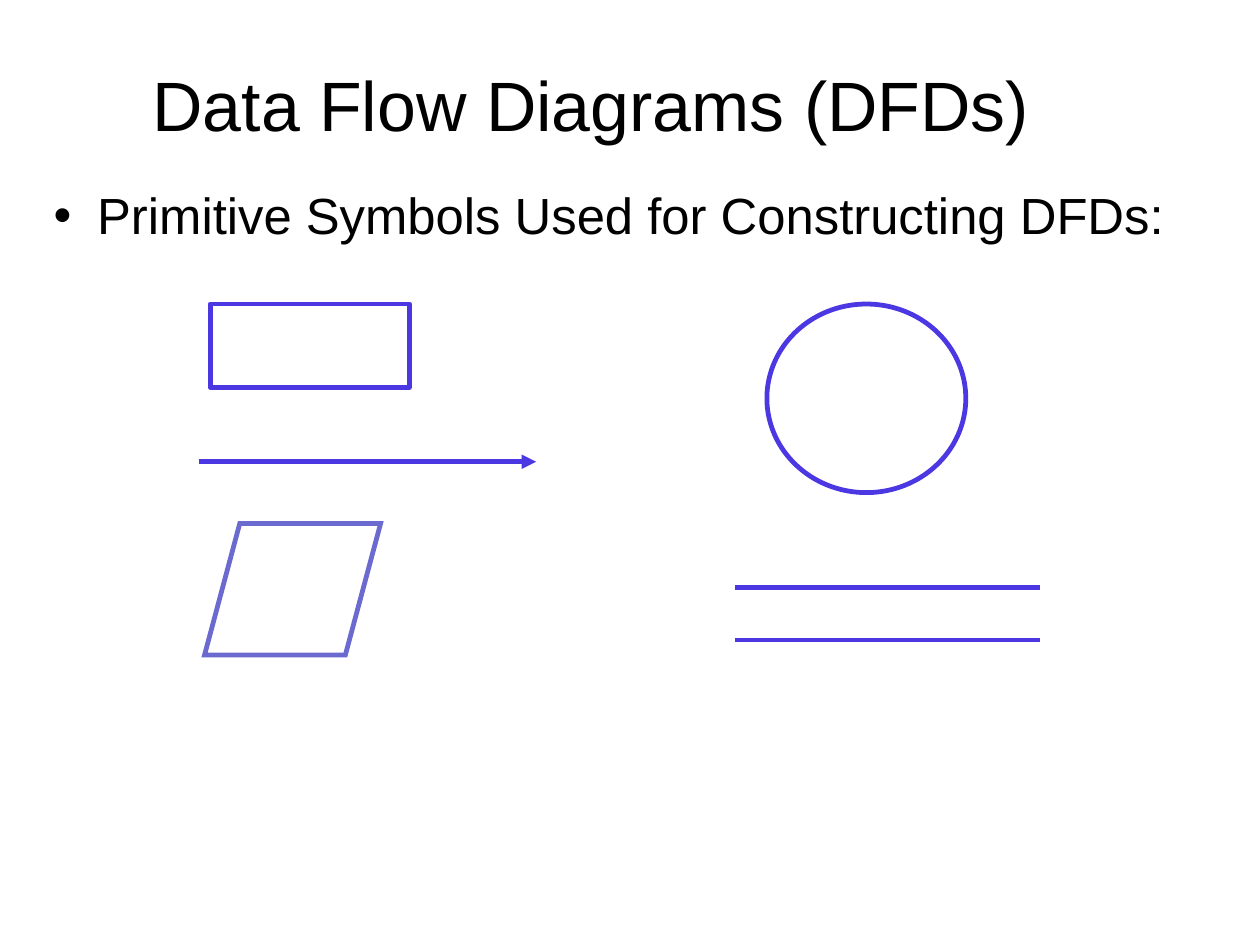
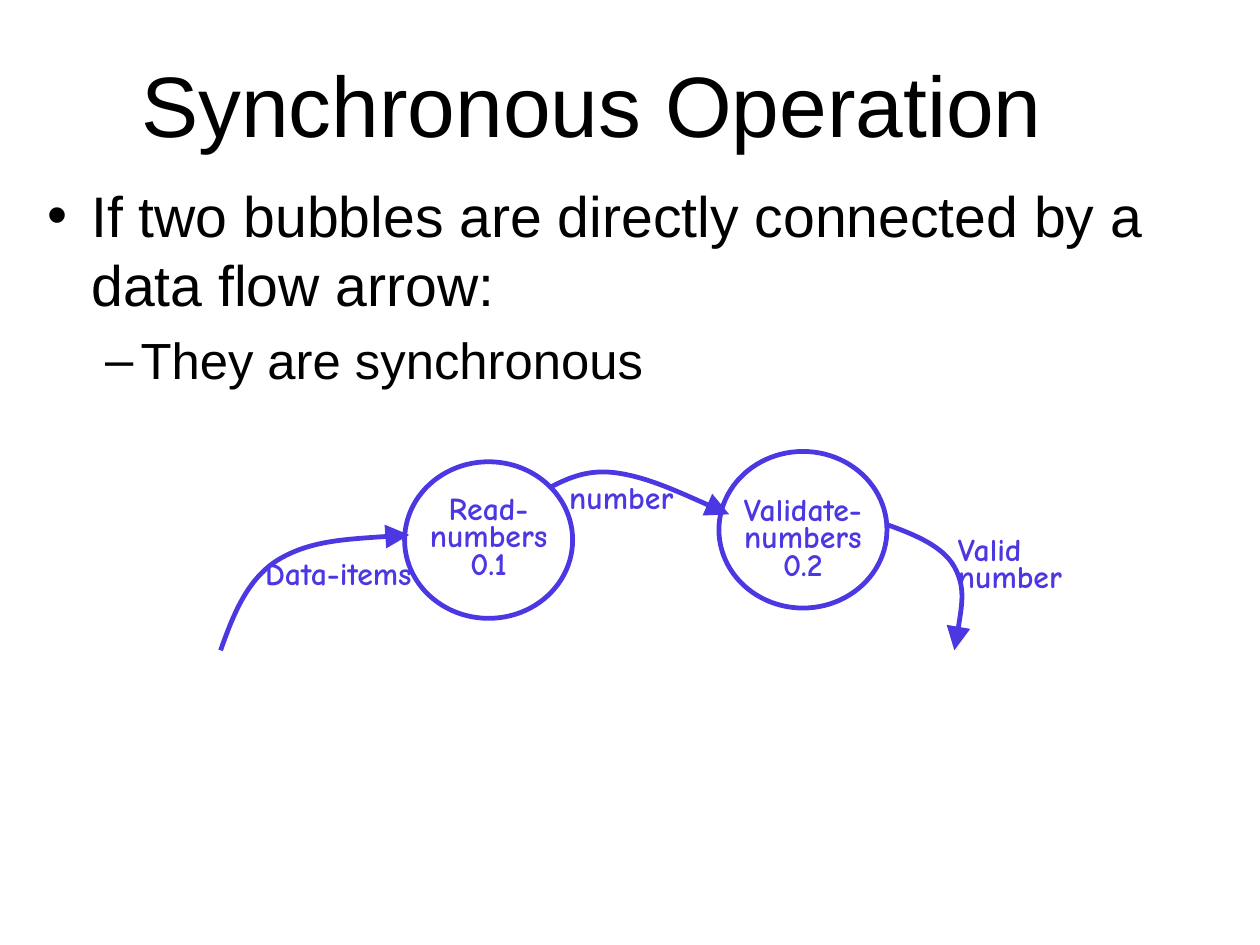
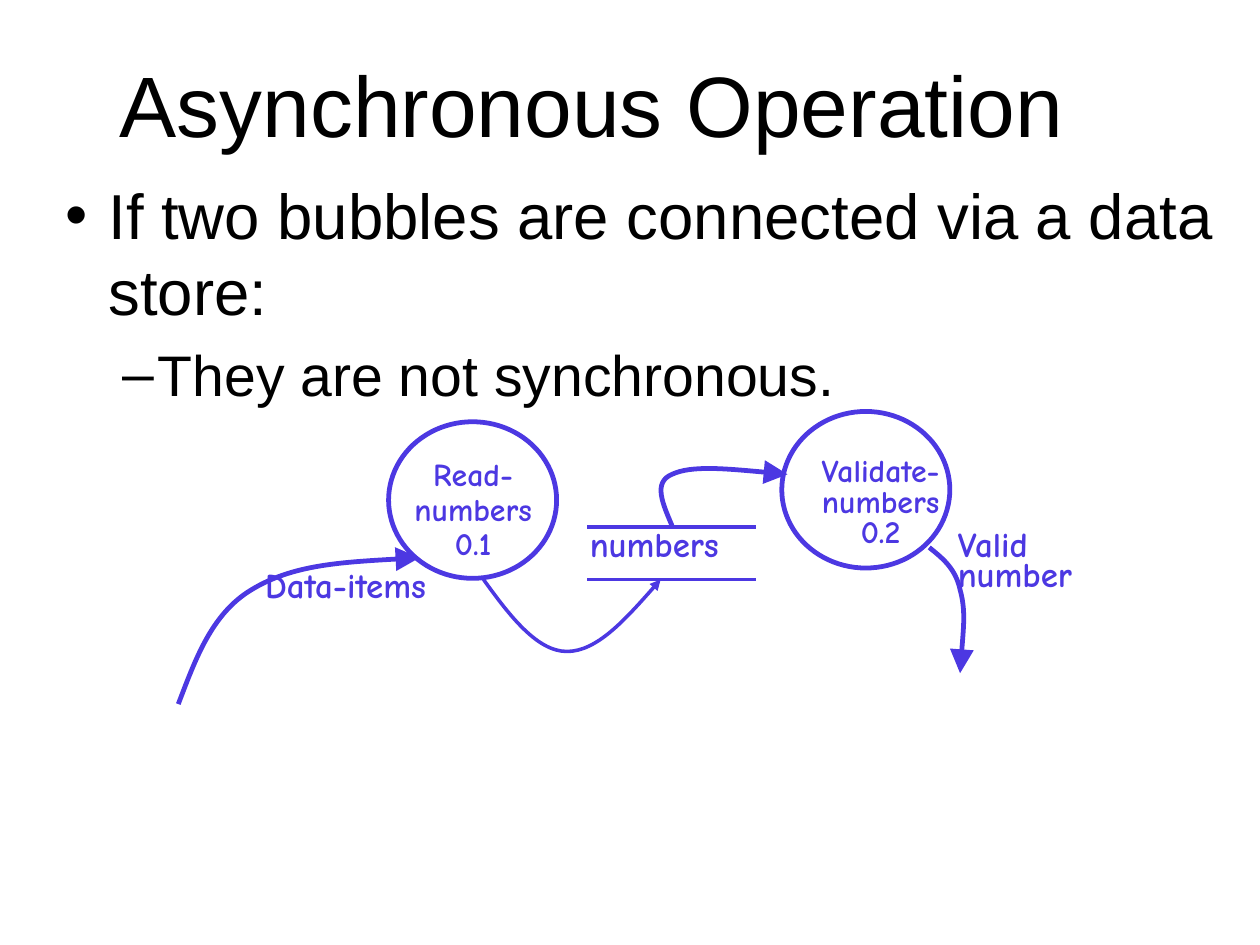
from pptx import Presentation
from pptx import util as u
from pptx.dml.color import RGBColor
from pptx.enum import shapes, text
from pptx.oxml import ns, xmlchemy

BLACK = RGBColor(0x00, 0x00, 0x00)
BLUE = RGBColor(0x4C, 0x38, 0xE2)
SLATE = RGBColor(0x6B, 0x6B, 0xCF)
SANS, HAND = "Arial", "Comic Neue"
THICK, THIN = 3, 2.24
CENTER = text.PP_ALIGN.CENTER
SHAPE = shapes.MSO_SHAPE


def add(parent, tag, **attrs):
    """Append an XML child with the given attributes."""
    child = xmlchemy.OxmlElement(tag)
    for key, value in attrs.items():
        child.set(key, str(value))
    parent.append(child)
    return child


class Deck:
    """Holds the shared style and the current slide."""

    # marker, left margin, hanging indent, space before
    LEVELS = (("•", 0.38, -0.38, 9.9), ("–", 0.81, -0.31, 7.1))

    def __init__(self):
        """Start an empty deck of 28 by 21 cm slides."""
        self.deck = Presentation()
        self.deck.slide_width = u.Cm(28)
        self.deck.slide_height = u.Cm(21)
        self.slide = None

    def frame(self, shape, box):
        """Place a text shape and set its insets."""
        shape.left, shape.top, shape.width, shape.height = map(u.Inches, box)
        body = shape.text_frame
        body.word_wrap = True
        body.auto_size = text.MSO_AUTO_SIZE.NONE
        body.margin_left = body.margin_right = u.Inches(0.02)
        body.margin_top = body.margin_bottom = u.Inches(0.06)
        return body

    def box(self, area):
        """Add an empty text box."""
        shape = self.slide.shapes.add_textbox(*map(u.Inches, area))
        return self.frame(shape, area)

    def run(self, para, words, size, font=SANS, color=BLACK, bold=False):
        """Add one run of text."""
        run = para.add_run()
        run.text = words
        run.font.size = u.Pt(size)
        run.font.name = font
        run.font.bold = bold
        run.font.color.rgb = color

    def page(self, title, size, before):
        """Add a slide with its title."""
        layout = self.deck.slide_layouts[5]
        self.slide = self.deck.slides.add_slide(layout)
        body = self.frame(self.slide.shapes.title, (0.49, 0.22, 9.37, 1.37))
        body.vertical_anchor = text.MSO_ANCHOR.MIDDLE
        para = body.paragraphs[0]
        para.alignment = CENTER
        para.space_before = u.Pt(before)
        self.run(para, title, size)

    def points(self, area, items):
        """Add bullets, one level deeper for each (words, size) item."""
        body = self.box(area)
        for level, (words, size) in enumerate(items):
            para = body.add_paragraph() if level else body.paragraphs[0]
            mark, left, hang, before = self.LEVELS[level]
            para.level = level
            para.space_before = u.Pt(before)
            props = para._p.get_or_add_pPr()
            props.set("marL", str(u.Inches(left)))
            props.set("indent", str(u.Inches(hang)))
            add(add(props, "a:buClr"), "a:srgbClr", val=BLACK)
            add(props, "a:buFont", typeface=SANS)
            add(props, "a:buChar", char=mark)
            self.run(para, words, size)

    def label(self, area, lines, size=20, align=None, space=0.72, before=12.5):
        """Add a handwritten label, with a break between lines."""
        para = self.box(area).paragraphs[0]
        para.alignment = align
        para.line_spacing = space
        para.space_before = u.Pt(before)
        for i, words in enumerate(lines):
            if i:
                para.add_line_break()
            self.run(para, words, size, HAND, BLUE, True)

    def stroke(self, shape, color, width, head=None, join="a:round"):
        """Format an outline, with an arrowhead of the given size."""
        shape.line.color.rgb = color
        shape.line.width = u.Pt(width)
        ln = shape.element.spPr.find(ns.qn("a:ln"))
        add(ln, join)
        if head:
            add(ln, "a:tailEnd", type="triangle", w=head, len=head)

    def shape(self, kind, area, color=BLUE, join="a:round"):
        """Add an unfilled preset shape."""
        shape = self.slide.shapes.add_shape(kind, *map(u.Inches, area))
        shape.shadow.inherit = False
        shape.fill.background()
        self.stroke(shape, color, THICK, join=join)
        return shape

    def bubble(self, left, top):
        """Add a process bubble."""
        self.shape(SHAPE.OVAL, (left, top, 1.47, 1.37))

    def line(self, left, right, y, width=THICK, head=None):
        """Add a level line."""
        ends = map(u.Inches, (left, y, right, y))
        line = self.slide.shapes.add_connector(
            shapes.MSO_CONNECTOR.STRAIGHT, *ends)
        self.stroke(line, BLUE, width, head)
        add(line.element.spPr, "a:effectLst")

    def store(self, left, right, top, gap, width=THICK):
        """Add a data store: two parallel lines."""
        for y in (top, top + gap):
            self.line(left, right, y, width)

    def flow(self, *spots, width=THICK, head="lg"):
        """Add a curved arrow: a start, then Bezier points in threes."""
        spots = [(u.Inches(x), u.Inches(y)) for x, y in spots]
        build = self.slide.shapes.build_freeform(*spots[0])
        build.add_line_segments(spots[1:], close=False)
        curve = build.convert_to_shape()
        steps = list(curve.element.iter(ns.qn("a:lnTo")))
        for i in range(0, len(steps), 3):
            bend = xmlchemy.OxmlElement("a:cubicBezTo")
            steps[i].addprevious(bend)
            for step in steps[i:i + 3]:
                bend.append(step[0])
                step.getparent().remove(step)
        curve.shadow.inherit = False
        curve.fill.background()
        self.stroke(curve, BLUE, width, head)


def symbols(d):
    """Build the slide of DFD symbols."""
    d.page("Data Flow Diagrams (DFDs)", 44, 9.9)
    d.points((0.45, 1.55, 10.35, 5.33),
             [("Primitive Symbols Used for Constructing DFDs:", 32)])
    entity = d.shape(SHAPE.ROUNDED_RECTANGLE, (1.84, 2.66, 1.74, 0.73))
    entity.adjustments[0] = 0
    d.shape(SHAPE.OVAL, (6.71, 2.66, 1.74, 1.65))
    d.line(1.74, 4.69, 4.04, head="med")
    d.store(6.43, 9.1, 5.14, 0.46)
    d.shape(SHAPE.FLOWCHART_DATA, (1.79, 4.58, 1.54, 1.15), SLATE, "a:miter")


def direct(d):
    """Build the slide of directly linked bubbles."""
    d.page("Synchronous Operation", 54, 5.2)
    d.points((0.4, 1.52, 10.17, 5.28),
             [("If two bubbles are directly connected by a data flow arrow:",
               36), ("They are synchronous", 32)])
    d.bubble(3.54, 4.04)
    d.bubble(6.29, 3.95)
    d.flow((1.93, 5.69), (2.04, 5.38), (2.16, 5.07), (2.43, 4.9),
           (2.71, 4.73), (3.14, 4.71), (3.58, 4.68))
    d.label((2.3, 4.87, 1.47, 0.84), ["Data-items"])
    d.flow((4.82, 4.26), (4.98, 4.18), (5.15, 4.1), (5.41, 4.14),
           (5.67, 4.18), (6.02, 4.34), (6.38, 4.5))
    d.flow((7.76, 4.59), (8.01, 4.68), (8.25, 4.78), (8.35, 4.96),
           (8.45, 5.14), (8.4, 5.42), (8.35, 5.69))
    d.label((3.54, 4.3, 1.47, 1.21), ["Read-numbers", "0.1"], align=CENTER)
    d.label((6.29, 4.31, 1.47, 1.53), ["Validate-numbers", "0.2"],
            align=CENTER)
    d.label((8.36, 4.66, 1.47, 0.84), ["Valid number"])
    d.label((4.96, 4.21, 1.47, 0.47), ["number"])


def stored(d):
    """Build the slide of bubbles linked by a data store."""
    d.page("Asynchronous Operation", 54, 5.2)
    d.points((0.55, 1.48, 10.08, 5.22),
             [("If two bubbles are connected via a data store:", 40),
              ("They are not synchronous.", 36)])
    d.bubble(3.4, 3.69)
    d.bubble(6.84, 3.6)
    d.flow((1.56, 6.16), (1.71, 5.77), (1.85, 5.37), (2.2, 5.16),
           (2.56, 4.94), (3.11, 4.91), (3.67, 4.88))
    d.label((2.3, 4.97, 1.47, 0.84), ["Data-items"], 22)
    d.flow((8.13, 4.79), (8.24, 4.88), (8.36, 4.97), (8.4, 5.16),
           (8.45, 5.34), (8.42, 5.61), (8.4, 5.89))
    d.label((3.41, 3.96, 1.46, 1.21), ["Read-numbers", "0.1"],
            align=CENTER, space=0.9, before=13)
    d.label((6.97, 3.95, 1.47, 1.53), ["Validate-numbers", "0.2"],
            align=CENTER, space=0.8, before=13)
    d.label((8.36, 4.61, 1.47, 0.84), ["Valid number"], 22)
    d.label((5.14, 4.61, 1.47, 0.47), ["numbers"], 22)
    d.store(5.14, 6.61, 4.61, 0.46, THIN)
    d.flow((5.88, 4.6), (5.8, 4.41), (5.71, 4.22), (5.88, 4.15),
           (6.05, 4.07), (6.47, 4.11), (6.89, 4.15))
    d.flow((4.23, 5.07), (4.46, 5.39), (4.7, 5.7), (4.96, 5.7),
           (5.22, 5.7), (5.5, 5.39), (5.78, 5.07), width=THIN, head="med")


def main():
    """Build and save the deck."""
    d = Deck()
    for build in (symbols, direct, stored):
        build(d)
    d.deck.save("out.pptx")


main()
